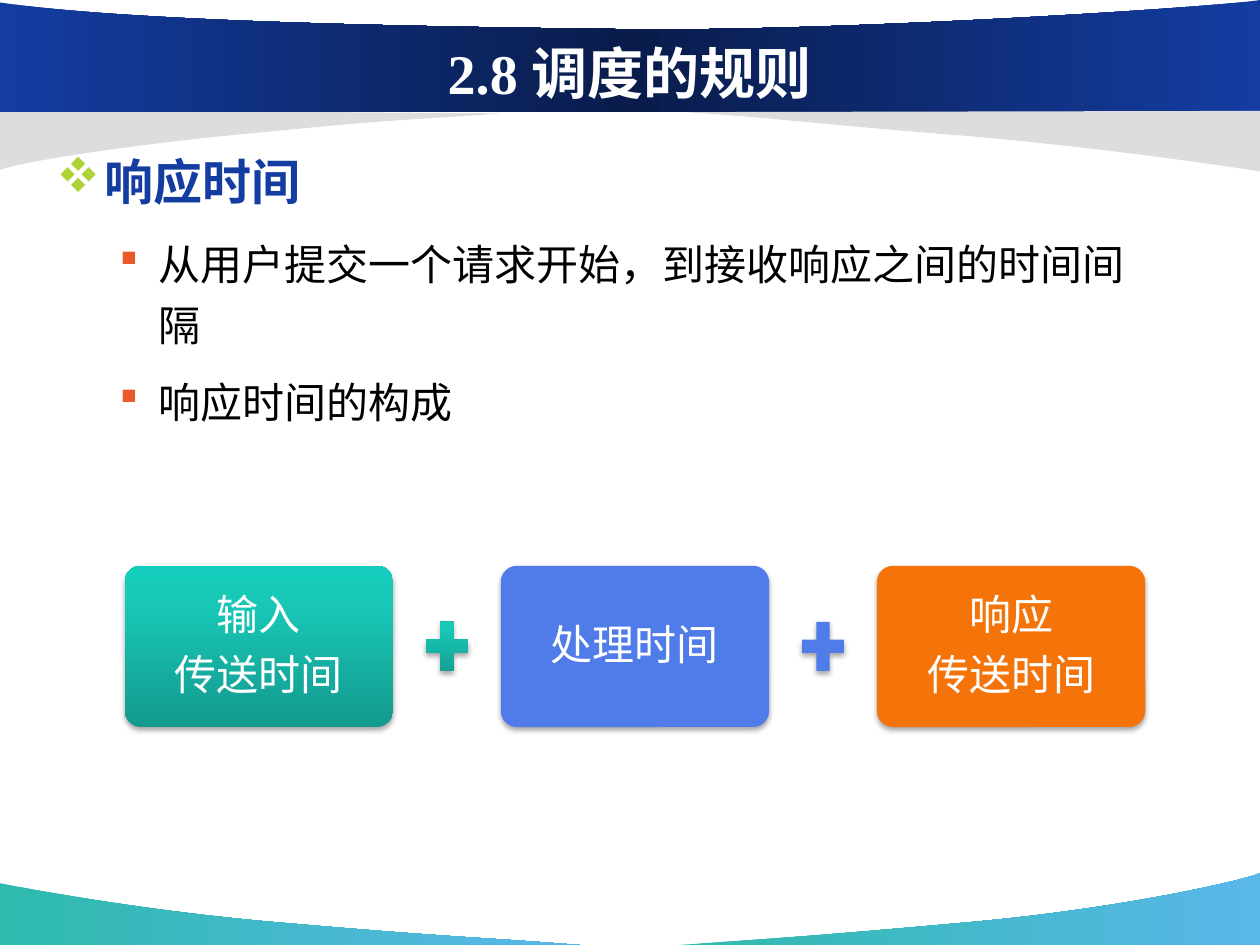
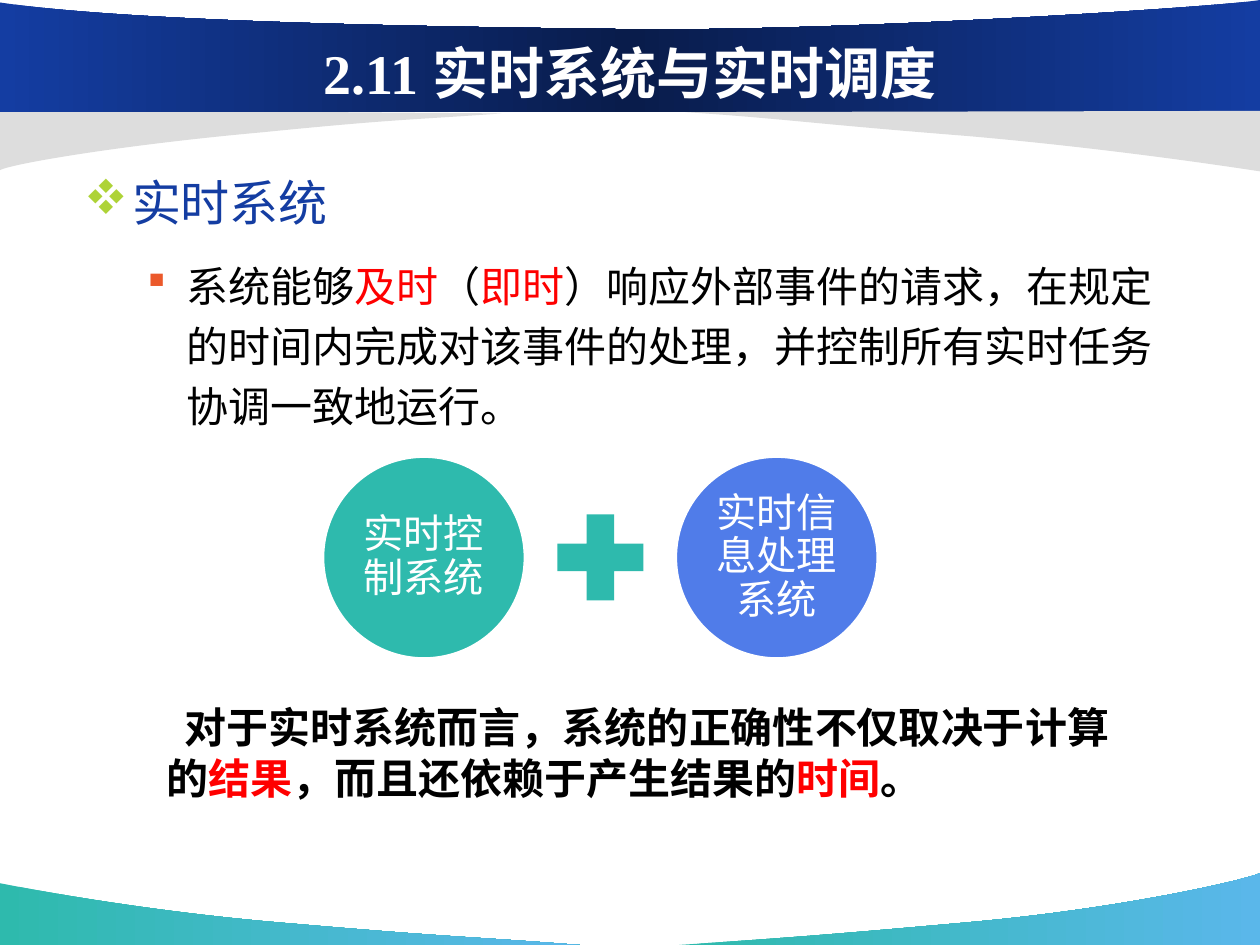
from pptx import Presentation
from pptx.dml.color import RGBColor
from pptx.enum.shapes import MSO_SHAPE as Geo
from pptx.enum.text import MSO_ANCHOR as Anchor, PP_ALIGN as Align
from pptx.oxml import parse_xml
from pptx.oxml.ns import nsdecls
from pptx.util import Inches, Pt

WIDE, HIGH = 10, 7.5
WHITE = RGBColor(0xFF, 0xFF, 0xFF)
BLACK = RGBColor(0, 0, 0)
RED = RGBColor(0xFE, 0, 0)
PURE = RGBColor(0xFF, 0, 0)
NAVY = RGBColor(0x14, 0x3D, 0xA2)
DARK = RGBColor(0x09, 0x1C, 0x4B)
GREY = RGBColor(0xDD, 0xDD, 0xDD)
TEAL = RGBColor(0x2E, 0xBA, 0xAD)
SKY = RGBColor(0x5A, 0xB7, 0xEA)
BLUE = RGBColor(0x50, 0x7C, 0xE9)
ORANGE = RGBColor(0xF4, 0x74, 0x0A)
LIME = RGBColor(0xAE, 0xD3, 0x37)
BRICK = RGBColor(0xEB, 0x59, 0x2B)

# A fill is one colour, or (angle, stops) for a gradient.
FOOT = (0, [(0, TEAL), (100, SKY)])
HEAD = (0, [(0, NAVY), (50, DARK), (100, NAVY)])
MINT = (270, [(0, RGBColor(0x13, 0x9A, 0x8E)),
              (80, RGBColor(0x18, 0xC9, 0xB8)),
              (100, RGBColor(0x15, 0xCD, 0xBC))])

# Outlines in inches: two numbers draw a line, six draw a curve.
BANDS = [
    (FOOT, [(4.6, 7.5), (3.84, 7.44, 3.58, 7.44, 2.32, 7.33),
            (1.06, 7.23, 0.01, 7.01, 0, 7.01), (0, 7.5)]),
    (FOOT, [(5.39, 7.5), (6.14, 7.45, 6.46, 7.43, 7.69, 7.32),
            (8.92, 7.21, 9.9, 6.98, 10, 6.93), (10, 7.5)]),
    (GREY, [(3.98, 0.9), (3.31, 0.95, 3.18, 0.94, 2.08, 1.05),
            (0.97, 1.15, 0.09, 1.3, 0, 1.35), (0, 0.87)]),
    (HEAD, [(0, 0.89), (10, 0.89), (10, 0), (9.64, 0.06, 6.53, 0.26, 4.87, 0.23),
            (3.21, 0.21, 1.01, 0.17, 0, 0.02)]),
    (GREY, [(5.44, 0.89), (6.2, 0.94, 6.42, 0.98, 7.68, 1.08),
            (8.94, 1.19, 9.99, 1.36, 10, 1.36), (10, 0.88)]),
]


def paint(shape, fill, edge=None):
    if isinstance(fill, RGBColor):
        shape.fill.solid()
        shape.fill.fore_color.rgb = fill
    else:
        angle, stops = fill
        marks = "".join(f'<a:gs pos="{at * 1000}"><a:srgbClr val="{tone}"/></a:gs>'
                        for at, tone in stops)
        shape.element.spPr.insert(2, parse_xml(
            f'<a:gradFill {nsdecls("a")} rotWithShape="1"><a:gsLst>{marks}</a:gsLst>'
            f'<a:lin ang="{angle * 60000}" scaled="0"/></a:gradFill>'))
    if edge:
        shape.line.color.rgb = edge
        shape.line.width = Pt(2)
    else:
        shape.line.fill.background()
    shape.shadow.inherit = False


def shade(shape):
    """Put a soft shadow under a painted shape."""
    shape.element.spPr.find("{*}effectLst").append(parse_xml(
        f'<a:outerShdw {nsdecls("a")} blurRad="{Pt(3.1)}" dist="{Pt(1.8)}" '
        'dir="5400000" rotWithShape="0"><a:srgbClr val="000000">'
        '<a:alpha val="35000"/></a:srgbClr></a:outerShdw>'))


def trace(slide, path):
    """Build an outline through all its points, then bend the curved parts."""
    first, *rest = [(Inches(part[i]), Inches(part[i + 1]))
                    for part in path for i in range(0, len(part), 2)]
    pen = slide.shapes.build_freeform(*first, scale=1.0)
    pen.add_line_segments(rest, close=True)
    shape = pen.convert_to_shape()
    lines = iter(list(shape.element.iterfind(".//{*}lnTo")))
    for part in path[1:]:
        line = next(lines)
        if len(part) == 6:
            curve = parse_xml(f'<a:cubicBezTo {nsdecls("a")}/>')
            line.addprevious(curve)
            for old in (line, next(lines), next(lines)):
                curve.append(old[0])
                old.getparent().remove(old)
    return shape


def add_bands(slide):
    """Draw the shared bands and move them to the slide master."""
    tree = slide.slide_layout.slide_master.shapes.element
    for place, (fill, path) in enumerate(BANDS, 2):
        band = trace(slide, path)
        paint(band, fill)
        tree.insert(place, band.element)


def style(run, size, tone, bold=False, face="Arial"):
    font = run.font
    font.name, font.size, font.bold = face, Pt(size), bold
    font.color.rgb = tone


def add_runs(para, parts, size, bold=False):
    for text, tone in parts:
        run = para.add_run()
        run.text = text
        style(run, size, tone, bold)


def add_title(slide, text):
    title = slide.shapes.title
    title.left, title.top = Inches(0.05 * WIDE), Inches(0.06)
    title.width, title.height = Inches(0.9 * WIDE), Inches(1.02)
    frame = title.text_frame
    frame.text = text
    frame.vertical_anchor = Anchor.MIDDLE
    para = frame.paragraphs[0]
    para.alignment = Align.CENTER
    style(para.runs[0], 32, WHITE, True, "Times New Roman")


def add_box(slide, box):
    frame = slide.shapes.add_textbox(*map(Inches, box)).text_frame
    frame.word_wrap = True
    return frame


def set_bullet(para, sign, tone, left, hang):
    """Set a Wingdings bullet: v is a diamond, § a small square."""
    props = para._p.get_or_add_pPr()
    props.set("marL", str(Inches(left)))
    props.set("indent", str(-Inches(hang)))
    for xml in (f'<a:buClr {nsdecls("a")}><a:srgbClr val="{tone}"/></a:buClr>',
                f'<a:buFont {nsdecls("a")} typeface="Wingdings" charset="2"/>',
                f'<a:buChar {nsdecls("a")} char="{sign}"/>'):
        props.append(parse_xml(xml))


def add_list(slide, box, head, items, bold=False):
    """Write a heading and, below it, items made of coloured parts."""
    frame = add_box(slide, box)
    for level, parts in enumerate([[(head, NAVY)], *items]):
        para = frame.add_paragraph() if level else frame.paragraphs[0]
        size = 24 if level else 28
        if level:
            para.level = 1
            set_bullet(para, "§", BRICK, 0.81, 0.31)
            para.space_before = Pt(0.2 * size)
        else:
            set_bullet(para, "v", LIME, 0.38, 0.38)
        para.line_spacing = 1.2
        para.space_after = Pt(0.2 * size)
        add_runs(para, parts, size, bold and not level)


def add_part(slide, geo, box, fill, edge=None, soft=False):
    part = slide.shapes.add_shape(geo, *map(Inches, box))
    paint(part, fill, edge)
    if soft:
        shade(part)
    return part


def add_label(shape, text, size, inset):
    frame = shape.text_frame
    frame.text = text
    frame.word_wrap = True
    frame.vertical_anchor = Anchor.MIDDLE
    frame.margin_left = frame.margin_right = Inches(inset)
    frame.margin_top = frame.margin_bottom = Inches(inset)
    for para in frame.paragraphs:
        para.alignment = Align.CENTER
        para.line_spacing = 0.9
        para.space_after = Pt(0.35 * size)
        style(para.runs[0], size, WHITE)


def add_sum(slide, box, items, geo, width, plus, size, inset, edge=None, soft=False):
    """Spread labelled shapes over the box, with a plus sign in each gap."""
    left, top, wide, high = box
    pitch = (wide - width) / (len(items) - 1)
    for col, (text, fill) in enumerate(items):
        x = left + col * pitch
        part = add_part(slide, geo, (x, top, width, high), fill, edge, soft)
        if geo == Geo.ROUNDED_RECTANGLE:
            part.adjustments[0] = 0.1
        add_label(part, text, size, inset)
        if col < len(items) - 1:
            w, h = plus
            spot = (x + (width + pitch - w) / 2, top + (high - h) / 2, w, h)
            add_part(slide, Geo.MATH_PLUS, spot, fill, soft=soft)


def add_note(slide, box, parts):
    para = add_box(slide, box).paragraphs[0]
    para._p.get_or_add_pPr().set("indent", str(Inches(0.15)))
    add_runs(para, parts, 24, True)


def fill_response(slide):
    add_title(slide, "2.8 调度的规则")
    add_list(slide, (0.35, 1.06, 0.9 * WIDE, 4.95), "响应时间", [
        [("从用户提交一个请求开始，到接收响应之间的时间间隔", BLACK)],
        [("响应时间的构成", BLACK)]], bold=True)
    add_sum(slide, (0.99, 4.49, 8.1, 1.28),
            [("输入\n传送时间", MINT), ("处理时间", BLUE), ("响应\n传送时间", ORANGE)],
            Geo.ROUNDED_RECTANGLE, 2.13, (0.45, 0.53), 24, 0.1, soft=True)


def fill_realtime(slide):
    add_title(slide, "2.11 实时系统与实时调度")
    add_list(slide, (0.57, 1.23, 0.9 * WIDE, 4.95), "实时系统", [
        [("系统能够", BLACK), ("及时", RED), ("（", BLACK), ("即时", RED),
         ("）响应外部事件的请求，在规定的时间内完成对该事件的处理，"
          "并控制所有实时任务协调一致地运行。", BLACK)]])
    add_note(slide, (1.22, 5.52, 7.8, 0.91), [
        ("对于实时系统而言，系统的正确性不仅取决于计算的", BLACK), ("结果", PURE),
        ("，而且还依赖于产生结果的", BLACK), ("时间", PURE), ("。", BLACK)])
    add_sum(slide, (2.56, 3.62, 4.41, 1.61),
            [("实时控制系统", TEAL), ("实时信息处理系统", BLUE)],
            Geo.OVAL, 1.61, (0.93, 0.93), 23, 0.03, edge=WHITE)


def main():
    deck = Presentation()
    deck.slide_width, deck.slide_height = Inches(WIDE), Inches(HIGH)
    layout = deck.slide_layouts.get_by_name("Title Only")
    first, second = (deck.slides.add_slide(layout) for _ in range(2))
    add_bands(first)
    fill_response(first)
    fill_realtime(second)
    deck.save("out.pptx")


if __name__ == "__main__":
    main()
